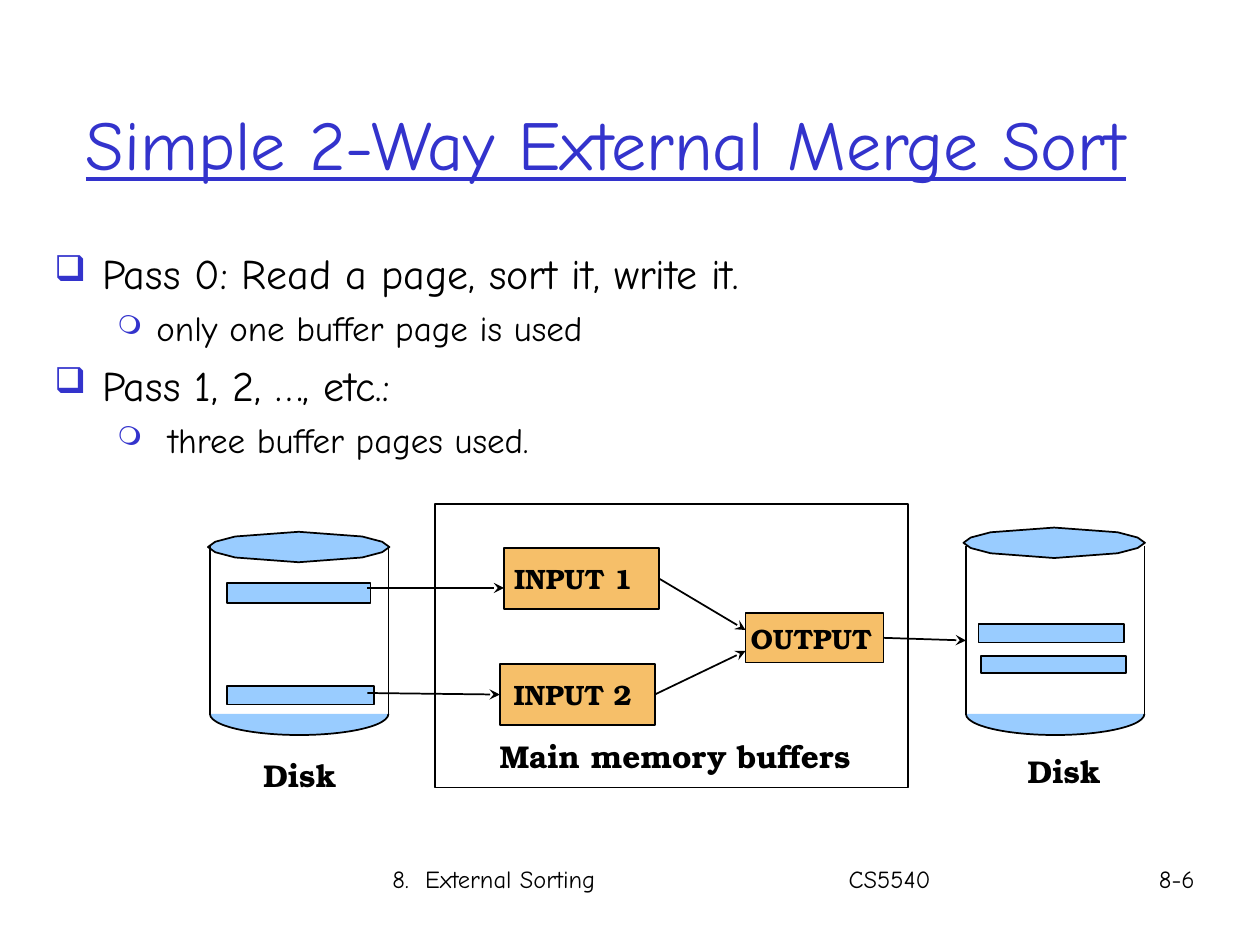
"""Build a slide explaining the simple two-way external merge sort."""
from lxml.etree import SubElement
from pptx import Presentation
from pptx.dml.color import RGBColor
from pptx.enum.shapes import MSO_CONNECTOR, MSO_SHAPE
from pptx.enum.text import MSO_ANCHOR
from pptx.oxml.ns import qn
from pptx.util import Emu, Inches, Pt

COLORS = {"ink": "000000", "accent": "3333CC", "disk": "99CCFF", "buffer": "F6BF69"}
SANS, SERIF = "Comic Neue", "TeX Gyre Bonum"
COLUMNS, ROWS = 120, 90

deck = Presentation()
deck.slide_width, deck.slide_height = Inches(10), Inches(7.5)
page = deck.slides.add_slide(deck.slide_layouts[6])
column, row = deck.slide_width / COLUMNS, deck.slide_height / ROWS


def place(*cells):
    return [Emu(round(cell * (row if index % 2 else column))) for index, cell in enumerate(cells)]


def write(para, text, font=SANS, size=14, color="ink", bold=False, underline=False):
    span = para.add_run()
    span.text = text
    span.font.name, span.font.size = font, Pt(size)
    span.font.bold, span.font.underline = bold, underline
    span.font.color.rgb = RGBColor.from_string(COLORS[color])


labels = [
    ("8-6", (109.2, 81.7, 8.9, 4.1), True, {}),
    ("8.  External Sorting\tCS5540", (36.2, 81.7, 71.9, 6), True, {}),
    ("Simple 2-Way External Merge Sort", (7, 6.1, 102, 14.9), True,
     {"size": 40, "color": "accent", "underline": True}),
    ("Main memory buffers", (46.4, 69.6, 35.9, 4.8), True, {"font": SERIF, "size": 18, "bold": True}),
    ("Disk", (23.9, 71.4, 9.4, 4.8), False, {"font": SERIF, "size": 18, "bold": True}),
    ("Disk", (96.7, 71, 9.4, 4.8), False, {"font": SERIF, "size": 18, "bold": True}),
]
for text, area, wrap, style in labels:
    box = page.shapes.add_textbox(*place(*area))
    box.text_frame.word_wrap = wrap
    para = box.text_frame.paragraphs[0]
    if "underline" in style:
        box.text_frame.vertical_anchor = MSO_ANCHOR.MIDDLE
    if "\t" in text:
        stops = SubElement(para._p.get_or_add_pPr(), qn("a:tabLst"))
        SubElement(stops, qn("a:tab"), pos=str(Inches(3.62)), algn="l")
    write(para, text, **style)

levels = [
    {"mark": "❑", "scale": 85, "margin": 0.38, "indent": -0.38, "size": 24, "before": 6},
    {"mark": "❍", "scale": 75, "margin": 0.81, "indent": -0.31, "size": 20, "before": 5},
]
points = [
    (0, "Pass 0: Read a page, sort it, write it."),
    (1, "only one buffer page is used"),
    (0, "Pass 1, 2, …, etc.:"),
    (1, " three buffer pages used."),
]
body = page.shapes.add_textbox(*place(4, 23, 115, 62)).text_frame
body.word_wrap = True
for index, (depth, text) in enumerate(points):
    para = body.add_paragraph() if index else body.paragraphs[0]
    level = levels[depth]
    para.level, para.space_before = depth, Pt(level["before"])
    settings = para._p.get_or_add_pPr()
    settings.set("marL", str(Inches(level["margin"])))
    settings.set("indent", str(Inches(level["indent"])))
    tint = SubElement(settings, qn("a:buClr"))
    SubElement(tint, qn("a:srgbClr"), val=COLORS["accent"])
    SubElement(settings, qn("a:buSzPct"), val=str(level["scale"] * 1000))
    SubElement(settings, qn("a:buChar"), char=level["mark"])
    write(para, text, size=level["size"])

painted = []
corner = [(8.64, 0), (7.95, 0.5), (6.05, 1), (0, 1.45)]
half = corner + [(-x, y) for x, y in corner[-2::-1]]
outline = half + [(-x, -y) for x, y in half[1:-1]]
for left, middle, lid in [(20, 28.45, 52.1), (92, 100.4, 51.7)]:
    rim = [place(middle + x, lid + y) for x, y in outline]
    builder = page.shapes.build_freeform(*rim[0])
    builder.add_line_segments(rim[1:], close=True)
    base = page.shapes.add_shape(MSO_SHAPE.ARC, *place(left, 66, 17, 4))
    base.adjustments[0], base.adjustments[1] = 0, 108
    painted += [(builder.convert_to_shape(), "disk"), (base, "disk")]

blocks = [
    (21.6, 55.55, 13.7, 1.9), (21.6, 65.3, 14.05, 1.8),
    (93.2, 59.45, 13.85, 1.75), (93.4, 62.5, 13.85, 1.6),
]
for area in blocks:
    painted.append((page.shapes.add_shape(MSO_SHAPE.RECTANGLE, *place(*area)), "disk"))

buffers = {}
for name, area, inset in [
    ("INPUT 1", (48, 52.2, 14.76, 5.8), 0.08),
    ("INPUT 2", (47.6, 63.25, 14.76, 5.8), 0.11),
    ("OUTPUT", (59.2 + 11.8, 58.4, 13.15, 4.7), 0.04),
]:
    box = page.shapes.add_shape(MSO_SHAPE.RECTANGLE, *place(*area))
    box.text_frame.margin_left, box.text_frame.margin_right = Inches(inset), 0
    box.text_frame.vertical_anchor = MSO_ANCHOR.MIDDLE
    para = box.text_frame.paragraphs[0]
    para.alignment = 1
    write(para, name, font=SERIF, size=16, bold=True)
    buffers[name] = box
    painted.append((box, "buffer"))

memory = page.shapes.add_shape(MSO_SHAPE.RECTANGLE, *place(41.4, 48, 45.05, 27))
painted.append((memory, None))
for shape, color in painted:
    shape.shadow.inherit = False
    shape.line.color.rgb = RGBColor.from_string(COLORS["ink"])
    shape.line.width = Pt(1)
    if color:
        shape.fill.solid()
        shape.fill.fore_color.rgb = RGBColor.from_string(COLORS[color])
    else:
        shape.fill.background()

walls = [((x, 52, x, 68), None, None, False) for x in (20, 37, 92, 109)]
flows = [
    ((35, 56, 48, 56), None, None, True),
    ((35, 66, 48, 66), None, "INPUT 2", True),
    ((63, 55, 71, 60), "INPUT 1", None, True),
    ((63, 66, 71, 62), "INPUT 2", None, True),
    ((84, 61, 92, 61), "OUTPUT", None, True),
]
for ends, source, target, arrow in walls + flows:
    link = page.shapes.add_connector(MSO_CONNECTOR.STRAIGHT, *place(*ends))
    if source:
        link.begin_connect(buffers[source], 3)
    if target:
        link.end_connect(buffers[target], 1)
    link.line.color.rgb = RGBColor.from_string(COLORS["ink"])
    link.line.width = Pt(1)
    if arrow:
        SubElement(link.line._get_or_add_ln(), qn("a:tailEnd"), type="stealth")
    SubElement(link._element.spPr, qn("a:effectLst"))

deck.save("out.pptx")
